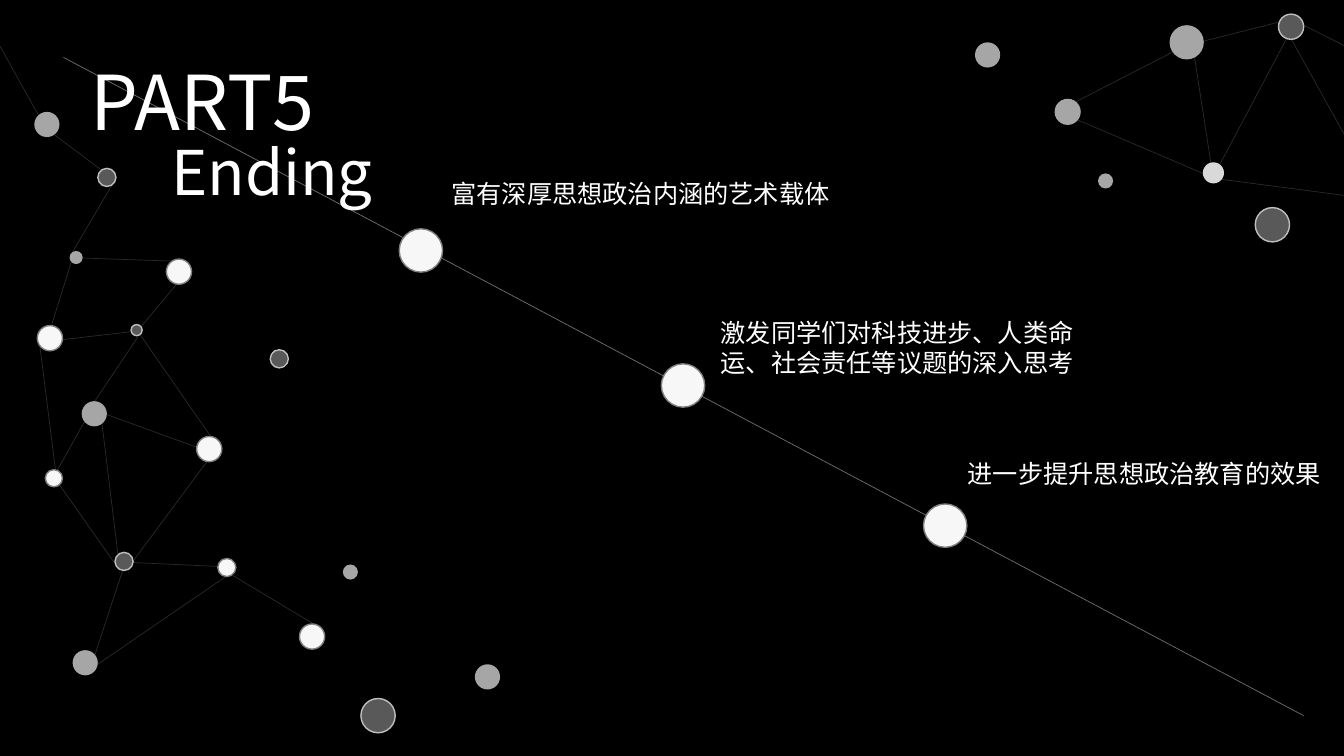
import pptx
import pptx.dml.color
import pptx.enum.shapes
import pptx.enum.text
import pptx.oxml.ns
import pptx.util
from lxml import etree

Inches = pptx.util.Inches
Pt = pptx.util.Pt

WHITE = "FFFFFF"
STYLES = {
    "white": ("F7F7F7", "808080"),
    "dark": ("595959", "BFBFBF"),
    "grey": ("A6A6A6", None),
    "pale": ("D9D9D9", None),
}

LINKS = [
    (0.82, 2.56, 1.69, 2.59), (0.53, 1.33, 1.01, 1.69), (1.12, 1.82, 0.72, 2.5),
    (0.71, 2.59, 0.51, 3.23), (0.62, 3.37, 1.31, 3.29), (0.94, 3.98, 1.37, 3.34),
    (0.39, 3.39, 0.55, 4.66), (0.84, 4.18, 0.51, 4.77), (1.01, 4.19, 1.17, 5.5),
    (2.09, 4.33, 1.39, 3.32), (1.16, 5.62, 0.59, 4.81), (0.94, 6.5, 1.22, 5.65),
    (1.05, 4.11, 1.96, 4.44), (1.4, 3.24, 1.76, 2.81), (2.06, 4.57, 1.31, 5.58),
    (1.31, 5.58, 2.16, 5.62), (2.31, 5.71, 3.11, 6.19), (2.24, 5.72, 0.97, 6.59),
    (-0.1, 0.28, 0.38, 1.14), (11.85, 0.43, 12.72, 0.21), (13.96, 0.77, 12.93, 0.25),
    (13.65, 1.98, 12.12, 1.78), (13.72, 2.03, 12.73, 0.25), (12.81, 0.29, 12.1, 1.63),
    (12.02, 1.68, 11.84, 0.52), (10.67, 1.01, 11.8, 0.43), (10.69, 1.19, 12, 1.75),
]

DOTS = [
    (0.97, 1.67, 0.18, "dark"), (0.34, 1.11, 0.25, "grey"), (0.37, 3.23, 0.25, "white"),
    (1.14, 5.48, 0.18, "dark"), (0.81, 3.98, 0.25, "grey"), (1.95, 4.33, 0.25, "white"),
    (2.68, 3.47, 0.18, "dark"), (1.65, 2.57, 0.25, "white"), (0.69, 2.49, 0.13, "grey"),
    (1.3, 3.22, 0.11, "dark"), (0.45, 4.66, 0.17, "white"), (0.72, 6.45, 0.25, "grey"),
    (2.16, 5.54, 0.18, "white"), (2.97, 6.19, 0.25, "white"), (3.58, 6.93, 0.34, "dark"),
    (4.71, 6.59, 0.25, "grey"), (3.4, 5.6, 0.15, "grey"), (12.68, 0.14, 0.25, "dark"),
    (11.93, 1.61, 0.21, "pale"), (10.46, 0.98, 0.26, "grey"), (11.6, 0.25, 0.34, "grey"),
    (12.45, 2.06, 0.34, "dark"), (9.67, 0.42, 0.25, "grey"), (10.89, 1.72, 0.15, "grey"),
    (3.96, 2.27, 0.43, "white"), (6.56, 3.61, 0.43, "white"), (9.16, 5, 0.43, "white"),
]

POINTS = [
    (4.38, 1.72, 4.37, 0.4, "富有深厚思想政治内涵的艺术载体"),
    (7.05, 3.1, 3.8, 0.71, "激发同学们对科技进步、人类命运、社会责任等议题的深入思考"),
    (9.5, 4.5, 3.75, 0.71, "进一步提升思想政治教育的效果"),
]


def color(value):
    return pptx.dml.color.RGBColor.from_string(value)


class NetworkSlide:
    heading_font = "Noto Sans CJK SC"
    body_font = "Arial"

    def __init__(self, presentation):
        self.slide = presentation.slides.add_slide(presentation.slide_layouts[5])
        fill = self.slide.background.fill
        fill.solid()
        fill.fore_color.rgb = color("000000")

    def line(self, x1, y1, x2, y2, stroke, opacity):
        connector = self.slide.shapes.add_connector(
            pptx.enum.shapes.MSO_CONNECTOR.STRAIGHT,
            Inches(x1), Inches(y1), Inches(x2), Inches(y2))
        connector.line.width = Pt(0.5)
        connector.line.color.rgb = color(stroke)
        qn = pptx.oxml.ns.qn
        properties = connector._element.spPr
        stroke_color = properties.find(".//" + qn("a:srgbClr"))
        etree.SubElement(stroke_color, qn("a:alpha"), val=str(opacity * 1000))
        etree.SubElement(properties, qn("a:effectLst"))

    def dot(self, left, top, size, style):
        fill, outline = STYLES[style]
        shape = self.slide.shapes.add_shape(
            pptx.enum.shapes.MSO_SHAPE.OVAL,
            Inches(left), Inches(top), Inches(size), Inches(size))
        shape.shadow.inherit = False
        shape.fill.solid()
        shape.fill.fore_color.rgb = color(fill)
        if outline:
            shape.line.color.rgb = color(outline)
            shape.line.width = Pt(1)
        else:
            shape.line.fill.background()

    def set_text(self, shape, text, size, font):
        frame = shape.text_frame
        frame.text = text
        frame.word_wrap = True
        frame.auto_size = pptx.enum.text.MSO_AUTO_SIZE.SHAPE_TO_FIT_TEXT
        frame.vertical_anchor = pptx.enum.text.MSO_ANCHOR.TOP
        paragraph = frame.paragraphs[0]
        paragraph.alignment = pptx.enum.text.PP_ALIGN.LEFT
        paragraph.font.size = Pt(size)
        paragraph.font.name = font
        paragraph.font.color.rgb = color(WHITE)

    def text(self, left, top, width, height, text, size=18, font=body_font):
        shape = self.slide.shapes.add_textbox(
            Inches(left), Inches(top), Inches(width), Inches(height))
        self.set_text(shape, text, size, font)

    def title(self, left, top, width, height, text):
        shape = self.slide.shapes.title
        shape.left, shape.top = Inches(left), Inches(top)
        shape.width, shape.height = Inches(width), Inches(height)
        self.set_text(shape, text, 54, self.heading_font)


def main():
    presentation = pptx.Presentation()
    presentation.slide_width = Inches(13.33)
    presentation.slide_height = Inches(7.5)

    ending = NetworkSlide(presentation)
    ending.title(0.8, 0.49, 2.42, 1.01, "PART5")
    ending.line(0.63, 0.57, 12.93, 7.1, WHITE, 43)
    for link in LINKS:
        ending.line(*link, "BFBFBF", 21)
    for dot in DOTS:
        ending.dot(*dot)
    for point in POINTS:
        ending.text(*point)
    ending.text(1.6, 1.28, 4.23, 0.94, "Ending", 44, ending.heading_font)

    presentation.save("out.pptx")


if __name__ == "__main__":
    main()
